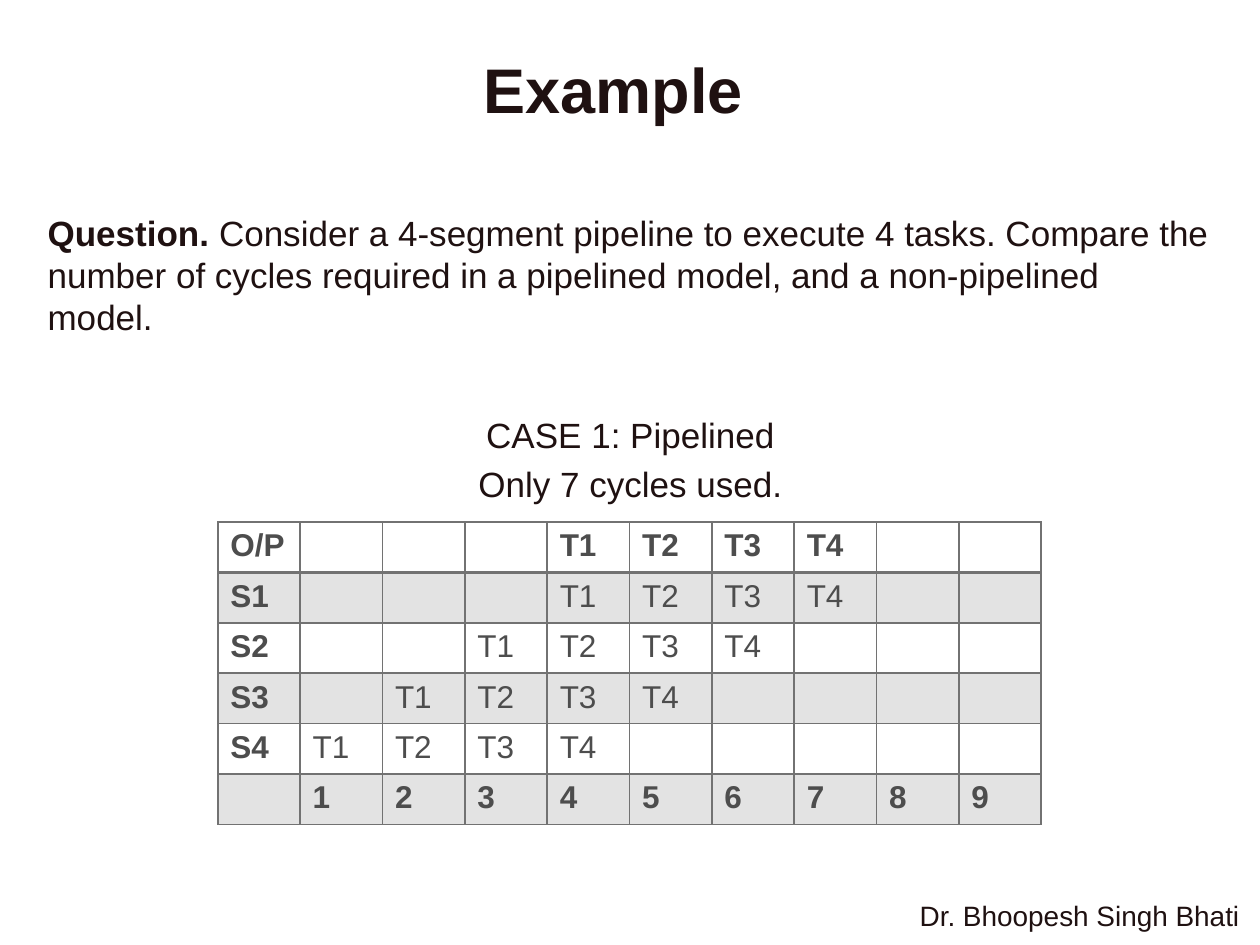
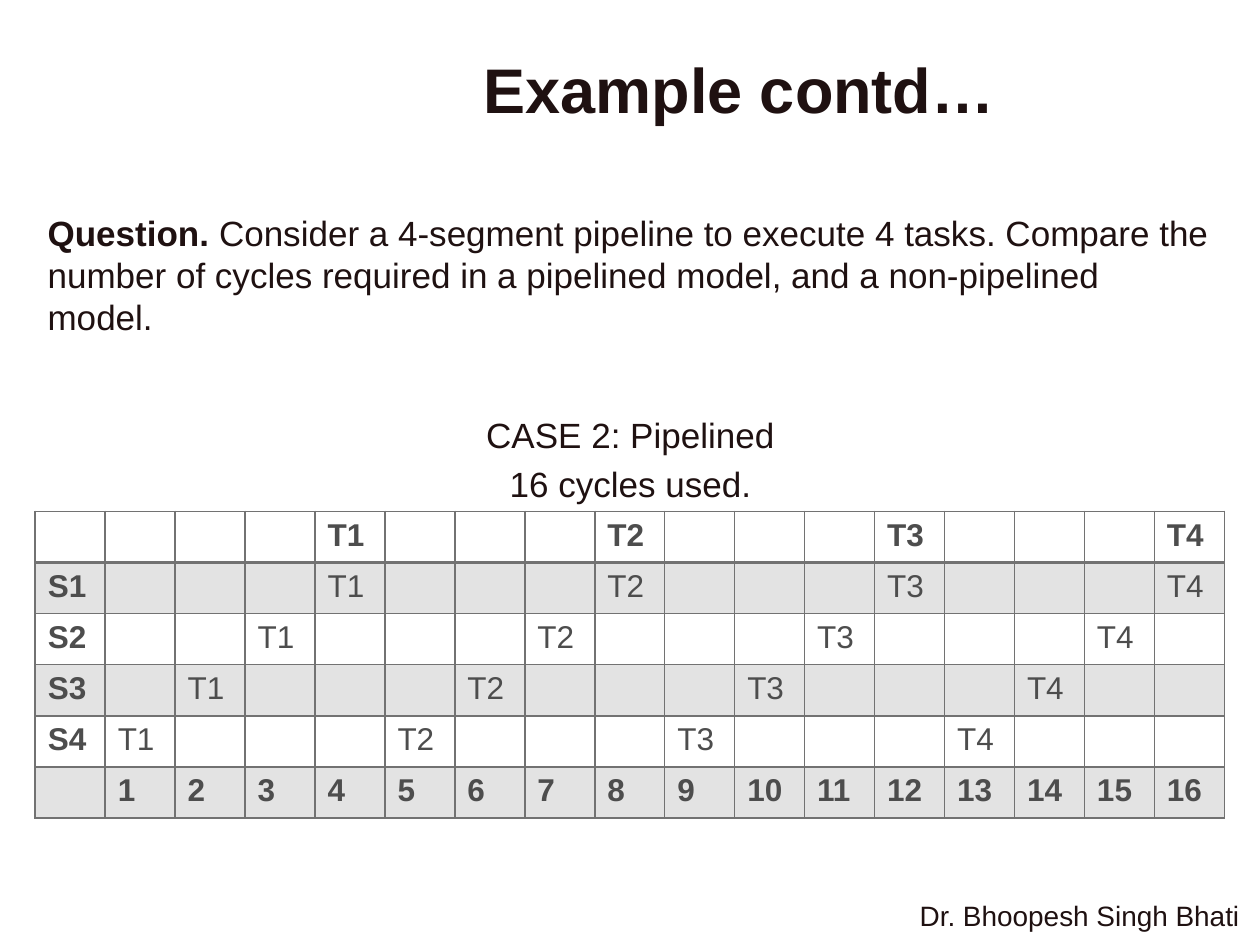
"""Build two slides comparing four tasks on a four-segment pipeline."""
from lxml import etree
from pptx import Presentation
from pptx.dml.color import RGBColor
from pptx.enum.text import MSO_ANCHOR, PP_ALIGN
from pptx.oxml.ns import qn
from pptx.util import Cm, Pt

MIDDLE, TOP = MSO_ANCHOR.MIDDLE, MSO_ANCHOR.TOP
CENTER = PP_ALIGN.CENTER
FONT = "Arial"
COLORS = {"ink": "1F1111", "cell": "4D4D4D", "border": "727272", "band": "E3E3E3"}
SEGMENTS = 4
TASKS = 4
QUESTION = (
    "Consider a 4-segment pipeline to execute 4 tasks. Compare the number of "
    "cycles required in a pipelined model, and a non-pipelined model."
)
CASES = [
    {"title": "Example", "title_width": 6.4,
     "lines": ["CASE 1: Pipelined", "Only 7 cycles used."],
     "corner": "O/P", "cycles": 9, "stride": 1,
     "left": 4.39, "top": 10.52, "column": 1.66, "row": 0.97},
    {"title": "Example contd…", "title_width": 11.2,
     "lines": ["CASE 2: Pipelined", "16 cycles used."],
     "corner": "", "cycles": 16, "stride": 4,
     "left": 0.71, "top": 10.31, "column": 1.41, "row": 1.03},
]


def add_text(slide, box, paragraphs, size, bold=False, anchor=TOP):
    """Add a text box and return its paragraphs."""
    frame = slide.shapes.add_textbox(*[Cm(length) for length in box]).text_frame
    frame.word_wrap = True
    frame.vertical_anchor = anchor
    frame.text = "\n".join(paragraphs)
    for paragraph in frame.paragraphs:
        style_font(paragraph.runs[0].font, size, "ink", bold)
    return frame.paragraphs


def style_font(font, size, color, bold):
    """Apply the deck's typeface with a size, colour and weight."""
    font.name = FONT
    font.size = Pt(size)
    font.bold = bold
    font.color.rgb = RGBColor.from_string(COLORS[color])


deck = Presentation()
deck.slide_width, deck.slide_height = Cm(25.4), Cm(19.05)

for case in CASES:
    slide = deck.slides.add_slide(deck.slide_layouts[6])
    add_text(slide, (9.5, 0.91, case["title_width"], 1.73), [case["title"]],
             36, bold=True, anchor=MIDDLE)
    author = add_text(slide, (18.29, 18.06, 7.11, 0.99),
                      ["Dr. Bhoopesh Singh Bhati"], 16)
    author[0].line_spacing = 0.9

    question, *outcome = add_text(slide, (0.71, 4.14, 24, 13.59),
                                  ["Question. ", *case["lines"]], 20)
    question.runs[0].font.bold = True
    question.add_run().text = QUESTION
    style_font(question.runs[1].font, 20, "ink", False)
    question.line_spacing = Pt(24)
    for line, gap in zip(outcome, (43.4, 4)):
        line.alignment = CENTER
        line.line_spacing = Pt(24)
        line.space_before = Pt(gap)

    cycles = case["cycles"]
    schedule = [[""] * (cycles + 1) for _ in range(SEGMENTS + 1)]
    schedule[0][0] = case["corner"]
    for segment in range(1, SEGMENTS + 1):
        schedule[segment][0] = f"S{segment}"
        for task in range(TASKS):
            cycle = task * case["stride"] + SEGMENTS + 1 - segment
            schedule[segment][cycle] = f"T{task + 1}"
    schedule[0][1:] = schedule[1][1:]
    schedule.append(["", *[str(cycle) for cycle in range(1, cycles + 1)]])

    rows, columns = len(schedule), cycles + 1
    table = slide.shapes.add_table(
        rows, columns, Cm(case["left"]), Cm(case["top"]),
        Cm(case["column"] * columns), Cm(case["row"] * rows)).table
    table.first_row = table.horz_banding = False
    for column in table.columns:
        column.width = Cm(case["column"])
    for row_index, entries in enumerate(schedule):
        table.rows[row_index].height = Cm(case["row"])
        for column_index, entry in enumerate(entries):
            cell = table.cell(row_index, column_index)
            if row_index % 2:
                cell.fill.solid()
                cell.fill.fore_color.rgb = RGBColor.from_string(COLORS["band"])
            else:
                cell.fill.background()
            if entry:
                cell.text_frame.text = entry
                heading = row_index in (0, rows - 1) or column_index == 0
                style_font(cell.text_frame.paragraphs[0].runs[0].font, 18, "cell", heading)
            properties = cell._tc.get_or_add_tcPr()
            for position, side in enumerate("LRTB"):
                under_header = (row_index, side) in ((0, "B"), (1, "T"))
                border = etree.Element(qn(f"a:ln{side}"), w=str(Pt(2 if under_header else 1)))
                paint = etree.SubElement(border, qn("a:solidFill"))
                etree.SubElement(paint, qn("a:srgbClr"), val=COLORS["border"])
                properties.insert(position, border)

deck.save("out.pptx")
